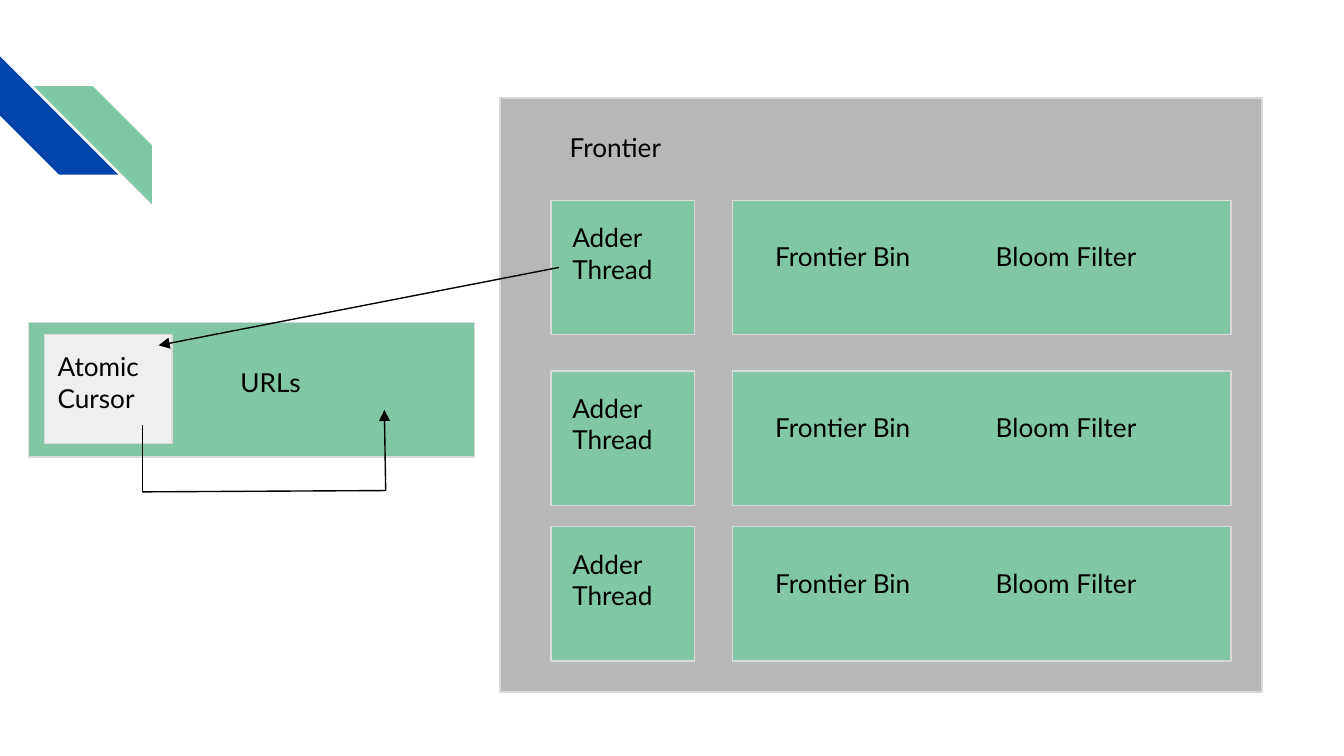
from pptx import Presentation
from pptx.dml.color import RGBColor
from pptx.enum.shapes import MSO_CONNECTOR, MSO_SHAPE
from pptx.oxml.ns import qn
from pptx.util import Inches, Pt
from lxml import etree

RECT, STRIPE = MSO_SHAPE.RECTANGLE, MSO_SHAPE.DIAGONAL_STRIPE
STRAIGHT = MSO_CONNECTOR.STRAIGHT
COLORS = {"blue": "0145AC", "green": "82C7A5", "gray": "B7B7B7",
          "light": "EFEFEF", "border": "D9D9D9", "black": "000000"}

# Content: corner stripes as left, top, rotation, colour
STRIPES = [(0, 0.42, 270, "blue"), (0.25, 0.64, 90, "green")]
STRIPE_SIZE = 0.88

# Frontier rows: box tops, then boxes and labels relative to each top
ROW_TOPS = [1.49, 2.76, 3.92]
ROW_BOXES = [(4.1, 1.07), (5.45, 3.71)]
ROW_LABELS = [("Adder\nThread", 4.16, 0.06, 0.95, 0.86),
              ("Frontier Bin", 5.67, 0.2, 1.33, 0.67),
              ("Bloom Filter", 7.31, 0.2, 1.61, 0.6)]

# Arrows as a list of points; the last segment carries the head
ADDER_TO_CURSOR = [(4.16, 1.99), (1.18, 2.57)]
CURSOR_TO_URLS = [(1.06, 3.16), (1.06, 3.66), (2.87, 3.65), (2.86, 3.05)]

# 16:9 slide
prs = Presentation()
prs.slide_width = Inches(10)
prs.slide_height = prs.slide_width * 9 // 16
s = prs.slides.add_slide(prs.slide_layouts[6])


def rgb(name):
    return RGBColor.from_string(COLORS[name])


def add_box(left, top, width, height, fill, kind=RECT, border="border"):
    sp = s.shapes.add_shape(kind, Inches(left), Inches(top), Inches(width), Inches(height))
    sp.shadow.inherit = False
    sp.fill.solid()
    sp.fill.fore_color.rgb = rgb(fill)
    if border:
        sp.line.color.rgb = rgb(border)
        sp.line.width = Pt(0.75)
    else:
        sp.line.fill.background()
    return sp


def add_text(text, left, top, width, height, size=14, font="Lato", color="black"):
    sp = s.shapes.add_textbox(Inches(left), Inches(top), Inches(width), Inches(height))
    tf = sp.text_frame
    tf.word_wrap = True
    tf.margin_left = tf.margin_right = tf.margin_top = tf.margin_bottom = Inches(0.1)
    tf.text = text
    for p in tf.paragraphs:
        for r in p.runs:
            r.font.size, r.font.name = Pt(size), font
            r.font.color.rgb = rgb(color)


def add_arrow(points):
    for start, end in zip(points, points[1:]):
        line = s.shapes.add_connector(STRAIGHT, *(Inches(v) for v in start + end))
        line.line.color.rgb = rgb("black")
        line.line.width = Pt(0.75)
        etree.SubElement(line._element.spPr, qn("a:effectLst"))
    ln = line._element.spPr.find(qn("a:ln"))
    etree.SubElement(ln, qn("a:tailEnd"), type="triangle")


# Corner decoration
for left, top, rotation, fill in STRIPES:
    stripe = add_box(left, top, STRIPE_SIZE, STRIPE_SIZE, fill, kind=STRIPE, border=None)
    stripe.rotation = rotation

# Frontier panel and its rows
add_box(3.72, 0.73, 5.67, 4.42, "gray")
for row_top in ROW_TOPS:
    for left, width in ROW_BOXES:
        add_box(left, row_top, width, 1, "green")
    for text, left, offset, width, height in ROW_LABELS:
        add_text(text, left, row_top + offset, width, height)
add_text("Frontier", 4.14, 0.88, 2.18, 0.33)

# URL list with its cursor
add_box(0.21, 2.4, 3.32, 1, "green")
add_box(0.33, 2.49, 0.95, 0.81, "light")
add_text("Atomic\nCursor", 0.33, 2.51, 0.95, 0.6)
add_text("URLs", 1.69, 2.63, 1.79, 0.67)

# Arrows
for points in (ADDER_TO_CURSOR, CURSOR_TO_URLS):
    add_arrow(points)

prs.save("out.pptx")
